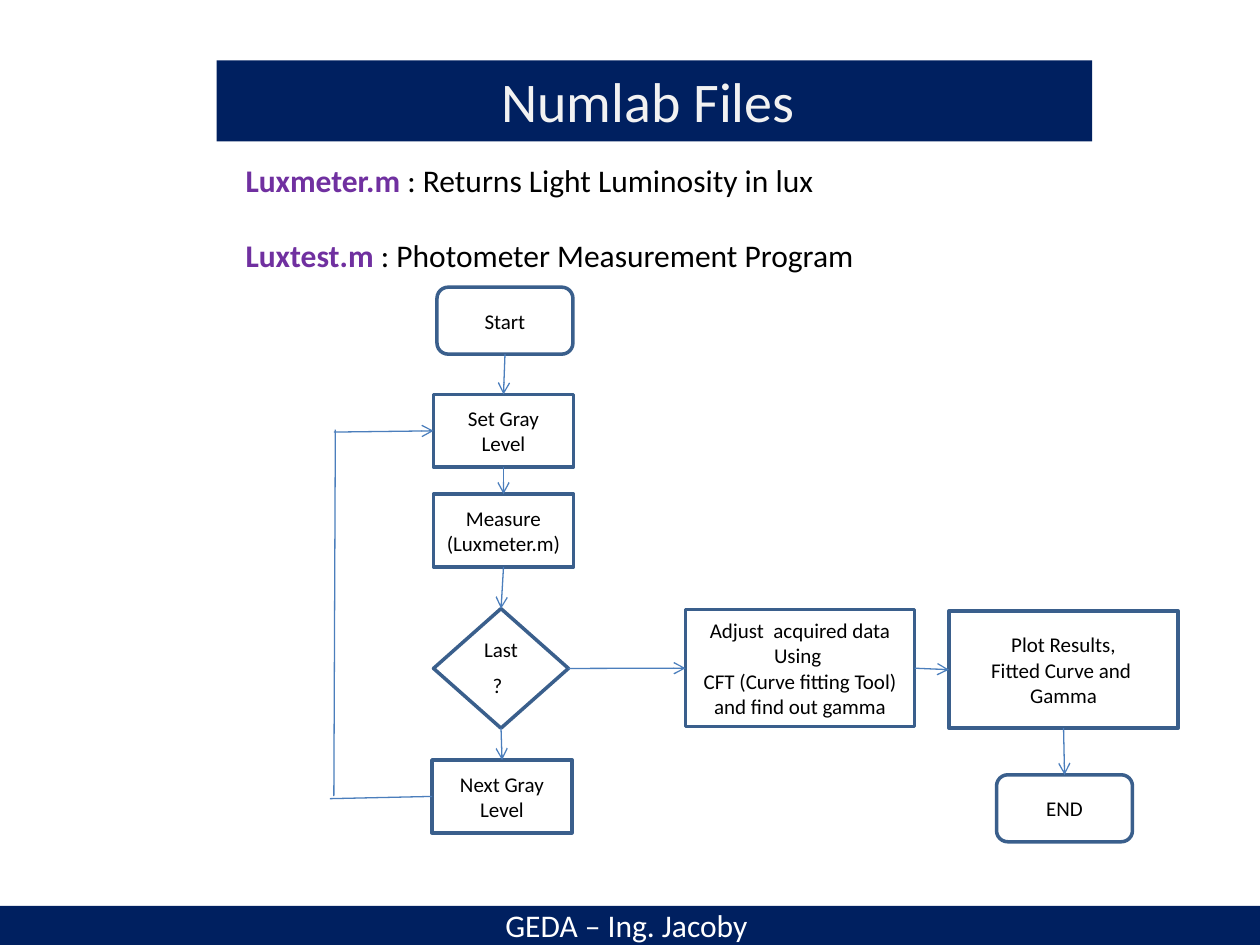
import pptx
import pptx.util
import pptx.dml.color
import pptx.enum.shapes
import pptx.enum.text
import pptx.oxml
import pptx.oxml.ns
from pptx.util import Cm

COLORS = {
    "navy": "002060",
    "title": "F2F2F2",
    "white": "FFFFFF",
    "black": "000000",
    "purple": "7030A0",
    "border": "3A5F8C",
    "arrow": "4B7EBC",
}
SHAPE = pptx.enum.shapes.MSO_SHAPE
ANCHOR = pptx.enum.text.MSO_ANCHOR
ALIGN = pptx.enum.text.PP_ALIGN
TOP, LEFT, BOTTOM, RIGHT = range(4)


class Deck:
    font = "Calibri"

    def __init__(self, prs):
        self.s = prs.slides.add_slide(prs.slide_layouts[6])

    def rgb(self, name):
        return pptx.dml.color.RGBColor.from_string(COLORS[name])

    def run(self, p, text, size, color, bold=False):
        r = p.add_run()
        r.text = text
        r.font.name = self.font
        r.font.size = pptx.util.Pt(size)
        r.font.bold = bold
        r.font.color.rgb = self.rgb(color)

    def paragraphs(self, tf, lines, align, gap=0):
        tf.word_wrap = True
        for i, runs in enumerate(lines):
            p = tf.add_paragraph() if i else tf.paragraphs[0]
            p.alignment = align
            if i and gap:
                p.space_before = pptx.util.Pt(gap)
            for run in runs:
                self.run(p, *run)

    def shape(self, kind, box, fill, lines, border=None, anchor=ANCHOR.MIDDLE):
        sp = self.s.shapes.add_shape(kind, *map(Cm, box))
        sp.shadow.inherit = False
        sp.fill.solid()
        sp.fill.fore_color.rgb = self.rgb(fill)
        if border:
            sp.line.color.rgb = self.rgb(border)
            sp.line.width = pptx.util.Pt(2)
        else:
            sp.line.fill.background()
        sp.text_frame.vertical_anchor = anchor
        self.paragraphs(sp.text_frame, lines, ALIGN.CENTER)
        return sp

    def step(self, kind, box, *texts):
        lines = [[(text, 12, "black")] for text in texts]
        return self.shape(kind, box, "white", lines, "border")

    def text(self, box, lines, gap):
        sp = self.s.shapes.add_textbox(*map(Cm, box))
        self.paragraphs(sp.text_frame, lines, ALIGN.LEFT, gap)

    def link(self, start, end, arrow=True):
        (a, i), (b, j) = start, end
        joined_start, joined_end = hasattr(a, "shape_id"), hasattr(b, "shape_id")
        x1, y1 = (0, 0) if joined_start else (a, i)
        x2, y2 = (0, 0) if joined_end else (b, j)
        c = self.s.shapes.add_connector(
            pptx.enum.shapes.MSO_CONNECTOR.STRAIGHT, Cm(x1), Cm(y1), Cm(x2), Cm(y2))
        if joined_start:
            c.begin_connect(a, i)
        if joined_end:
            c.end_connect(b, j)
        c.line.color.rgb = self.rgb("arrow")
        c.line.width = pptx.util.Pt(0.75)
        ns = pptx.oxml.ns.nsdecls("a")
        spPr = c.element.spPr
        if arrow:
            ln = spPr.find(pptx.oxml.ns.qn("a:ln"))
            ln.append(pptx.oxml.parse_xml(f"<a:tailEnd {ns} type='arrow'/>"))
        spPr.append(pptx.oxml.parse_xml(f"<a:effectLst {ns}/>"))


def main():
    prs = pptx.Presentation()
    prs.slide_width, prs.slide_height = Cm(25.4), Cm(19.05)
    d = Deck(prs)

    d.shape(SHAPE.RECTANGLE, (4.37, 1.22, 17.65, 1.63), "navy",
            [[("Numlab Files ", 32, "title")]], anchor=ANCHOR.TOP)
    d.shape(SHAPE.RECTANGLE, (0, 18.26, 25.4, 0.79), "navy",
            [[("GEDA – Ing. Jacoby ", 18, "white")]])
    files = [
        ("Luxmeter.m", " : Returns Light Luminosity in lux"),
        ("Luxtest.m", " : Photometer Measurement Program"),
    ]
    d.text((4.7, 3.12, 17.25, 3.33),
           [[(name, 18, "purple", True), (role, 18, "black")] for name, role in files],
           gap=21.5)

    terminal, process = SHAPE.FLOWCHART_ALTERNATE_PROCESS, SHAPE.FLOWCHART_PROCESS
    small, large, rounded = (2.82, 1.47), (4.62, 2.36), (2.74, 1.35)
    start = d.step(terminal, (8.81, 5.79, *rounded), "Start")
    last = d.shape(SHAPE.FLOWCHART_DECISION, (8.74, 12.27, 2.72, 2.41), "white",
                   [[("Last ?", 12, "black"), (" ", 18, "black")]], "border")
    level = d.step(process, (8.74, 7.95, *small), "Set Gray Level")
    measure = d.step(process, (8.74, 9.96, *small), "Measure", "(Luxmeter.m) ")
    following = d.step(process, (8.71, 15.32, *small), "Next Gray Level")
    adjust = d.step(process, (13.82, 12.29, *large), "Adjust  acquired data",
                    "Using ", "CFT (Curve fitting Tool)", "and find out gamma")
    plot = d.step(process, (19.13, 12.32, *large),
                  "Plot Results,", "Fitted Curve and  Gamma")
    end = d.step(terminal, (20.09, 15.62, *rounded), "END")

    for a, b in [(start, level), (level, measure), (measure, last),
                 (last, following), (plot, end)]:
        d.link((a, BOTTOM), (b, TOP))
    for a, b in [(last, adjust), (adjust, plot)]:
        d.link((a, RIGHT), (b, LEFT))
    d.link((following, LEFT), (6.65, 16.1), arrow=False)
    d.link((6.73, 16.05), (6.76, 8.66), arrow=False)
    d.link((6.73, 8.71), (level, LEFT))

    prs.save("out.pptx")


if __name__ == "__main__":
    main()
